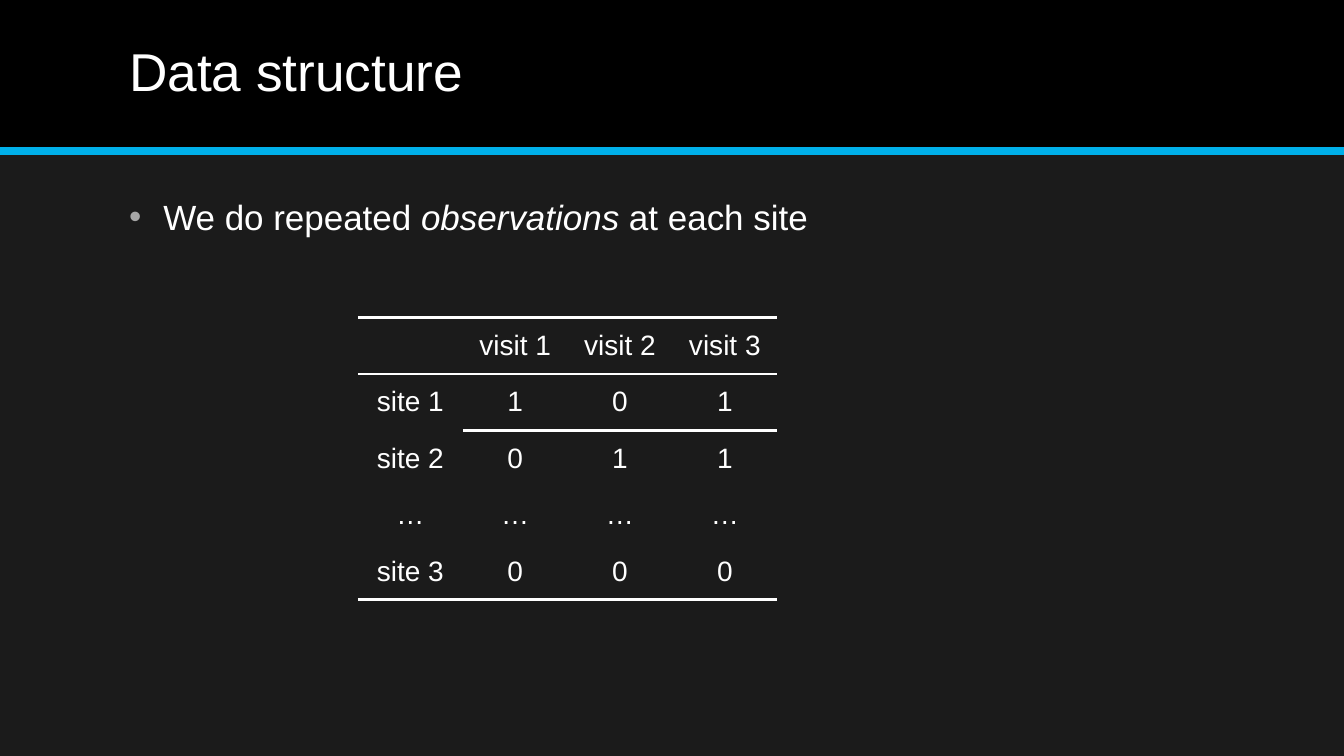
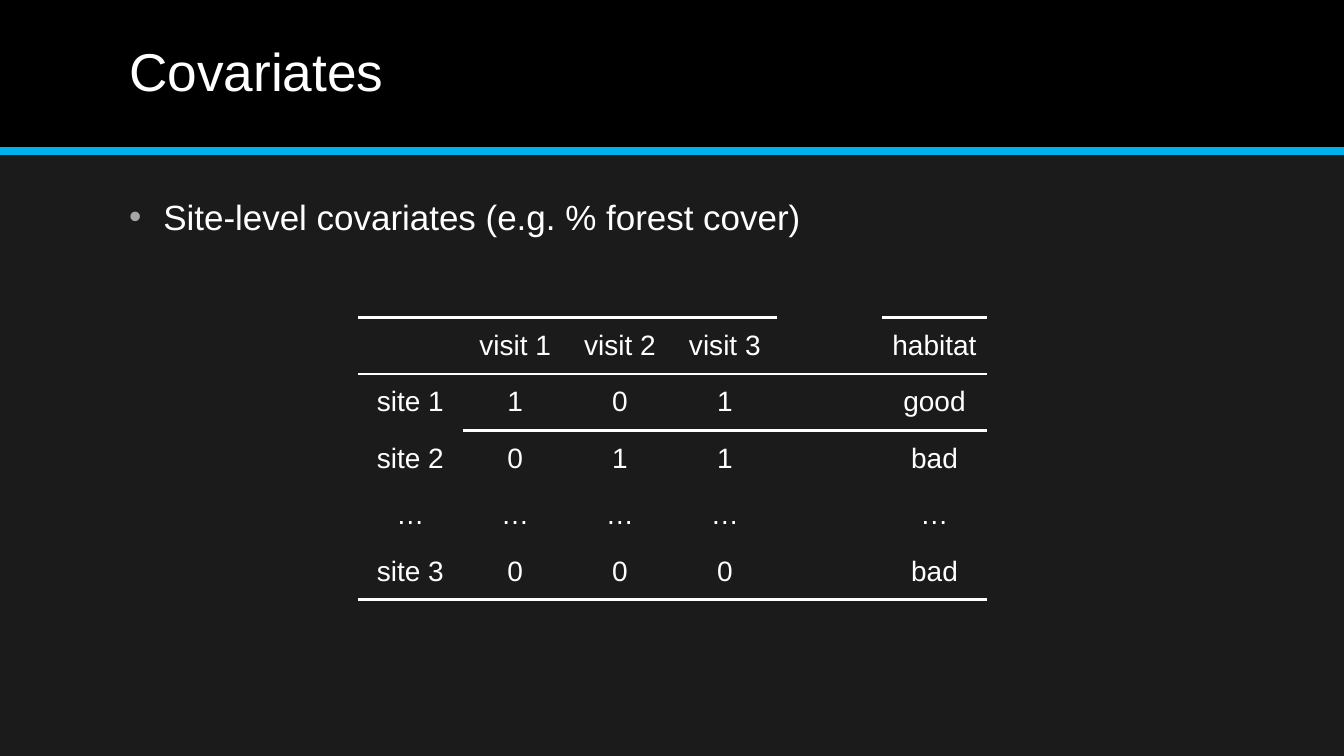
import pptx
import pptx.dml.color
import pptx.enum.shapes
import pptx.enum.text
import pptx.oxml
import pptx.oxml.ns
import pptx.util
from lxml import etree

Inches = pptx.util.Inches
Pt = pptx.util.Pt
RGBColor = pptx.dml.color.RGBColor
ALIGN = pptx.enum.text.PP_ALIGN
ANCHOR = pptx.enum.text.MSO_ANCHOR
qn = pptx.oxml.ns.qn

BACKGROUND = RGBColor(0x1B, 0x1B, 0x1B)
BLACK = RGBColor(0x00, 0x00, 0x00)
WHITE = RGBColor(0xFF, 0xFF, 0xFF)
ACCENT = RGBColor(0x00, 0xB0, 0xEA)
BULLET_GREY = RGBColor(0xA6, 0xA6, 0xA6)

FONT = "Arial"
SLIDE_WIDTH, SLIDE_HEIGHT = Inches(13.33), Inches(7.5)
BAND_HEIGHT = Inches(1.5)
MARGIN, TEXT_WIDTH = Inches(1.17), Inches(11)
TABLE_LEFT, TABLE_TOP = Inches(3.55), Inches(3.15)
COLUMN_WIDTH, ROW_HEIGHT = Inches(1.04), Inches(0.56)
NO_GRID_STYLE = "{2D5ABB26-0587-4C30-8999-92F81FD0307C}"

VISITS = [
    ["", "visit 1", "visit 2", "visit 3"],
    ["site 1", "1", "0", "1"],
    ["site 2", "0", "1", "1"],
    ["…", "…", "…", "…"],
    ["site 3", "0", "0", "0"],
]
HABITAT = ["habitat", "good", "bad", "…", "bad"]

SLIDES = [
    {
        "title": "Data structure",
        "bullet": [("We do repeated ", False), ("observations", True), (" at each site", False)],
        "rows": VISITS,
        "gap_column": None,
    },
    {
        "title": "Covariates",
        "bullet": [("Site-level covariates (e.g. % forest cover)", False)],
        "rows": [row + ["", habitat] for row, habitat in zip(VISITS, HABITAT)],
        "gap_column": 4,
    },
]


def set_font(paragraph, size):
    paragraph.font.name = FONT
    paragraph.font.size = Pt(size)
    paragraph.font.color.rgb = WHITE


def set_insets(frame):
    frame.margin_left = frame.margin_right = Inches(0.11)
    frame.margin_top = frame.margin_bottom = Inches(0.06)
    frame.word_wrap = True


def add_header_band(layout, page):
    band = page.shapes.add_shape(
        pptx.enum.shapes.MSO_SHAPE.RECTANGLE, 0, 0, SLIDE_WIDTH, BAND_HEIGHT)
    band.shadow.inherit = False
    band.fill.solid()
    band.fill.fore_color.rgb = BLACK
    band.line.fill.background()

    rule = page.shapes.add_connector(
        pptx.enum.shapes.MSO_CONNECTOR.STRAIGHT, 0, BAND_HEIGHT, SLIDE_WIDTH, BAND_HEIGHT)
    rule.line.color.rgb = ACCENT
    rule.line.width = Pt(6)
    etree.SubElement(rule.element.spPr, qn("a:effectLst"))

    for position, shape in enumerate((band, rule)):
        shape.element.xpath(".//p:cNvPr")[0].set("id", str(101 + position))
        layout.shapes.element.insert(2 + position, shape.element)


def format_title(title, text):
    title.left, title.top = MARGIN, Inches(0.14)
    title.width, title.height = TEXT_WIDTH, Inches(1.2)
    frame = title.text_frame
    frame.text = text
    set_insets(frame)
    frame.vertical_anchor = ANCHOR.MIDDLE
    para = frame.paragraphs[0]
    para.alignment = ALIGN.LEFT
    para.line_spacing = 0.9
    set_font(para, 38)


def add_bullet(page, spans):
    box = page.shapes.add_textbox(MARGIN, Inches(1.88), TEXT_WIDTH, Inches(4.88))
    set_insets(box.text_frame)
    para = box.text_frame.paragraphs[0]
    properties = para._p.get_or_add_pPr()
    properties.set("marL", str(Inches(0.34)))
    properties.set("indent", str(-Inches(0.34)))
    color = etree.SubElement(properties, qn("a:buClr"))
    etree.SubElement(color, qn("a:srgbClr"), val=str(BULLET_GREY))
    etree.SubElement(properties, qn("a:buFont"), typeface=FONT)
    etree.SubElement(properties, qn("a:buChar"), char="•")
    set_font(para, 25)
    for text, italic in spans:
        span = para.add_run()
        span.text = text
        if italic:
            span.font.italic = True


def add_border(cell, side):
    border = etree.SubElement(
        cell._tc.get_or_add_tcPr(), qn(f"a:{side}"), w=str(Pt(2.25)))
    fill = etree.SubElement(border, qn("a:solidFill"))
    etree.SubElement(fill, qn("a:srgbClr"), val=str(WHITE))


def add_site_table(page, rows, gap_column):
    row_count, column_count = len(rows), len(rows[0])
    frame = page.shapes.add_table(
        row_count, column_count, TABLE_LEFT, TABLE_TOP,
        COLUMN_WIDTH * column_count, ROW_HEIGHT * row_count)
    table = frame.table
    table.first_row = table.horz_banding = False
    table._tbl.tblPr.find(qn("a:tableStyleId")).text = NO_GRID_STYLE
    for column in table.columns:
        column.width = COLUMN_WIDTH
    for row in table.rows:
        row.height = ROW_HEIGHT

    for row_index, row in enumerate(rows):
        for column_index, text in enumerate(row):
            cell = table.cell(row_index, column_index)
            cell.text = text
            cell.vertical_anchor = ANCHOR.MIDDLE
            para = cell.text_frame.paragraphs[0]
            para.alignment = ALIGN.CENTER
            set_font(para, 20)
            if row_index == 0 and column_index != gap_column:
                add_border(cell, "lnT")
            if row_index in (0, row_count - 1) or (row_index == 1 and column_index > 0):
                add_border(cell, "lnB")
            cell.fill.background()


def main():
    deck = pptx.Presentation()
    deck.slide_width, deck.slide_height = SLIDE_WIDTH, SLIDE_HEIGHT
    background = deck.slide_master.background.fill
    background.solid()
    background.fore_color.rgb = BACKGROUND
    layout = deck.slide_layouts.get_by_name("Title Only")

    for content in SLIDES:
        page = deck.slides.add_slide(layout)
        format_title(page.shapes.title, content["title"])
        add_bullet(page, content["bullet"])
        add_site_table(page, content["rows"], content["gap_column"])
    add_header_band(layout, page)

    deck.save("out.pptx")


if __name__ == "__main__":
    main()
